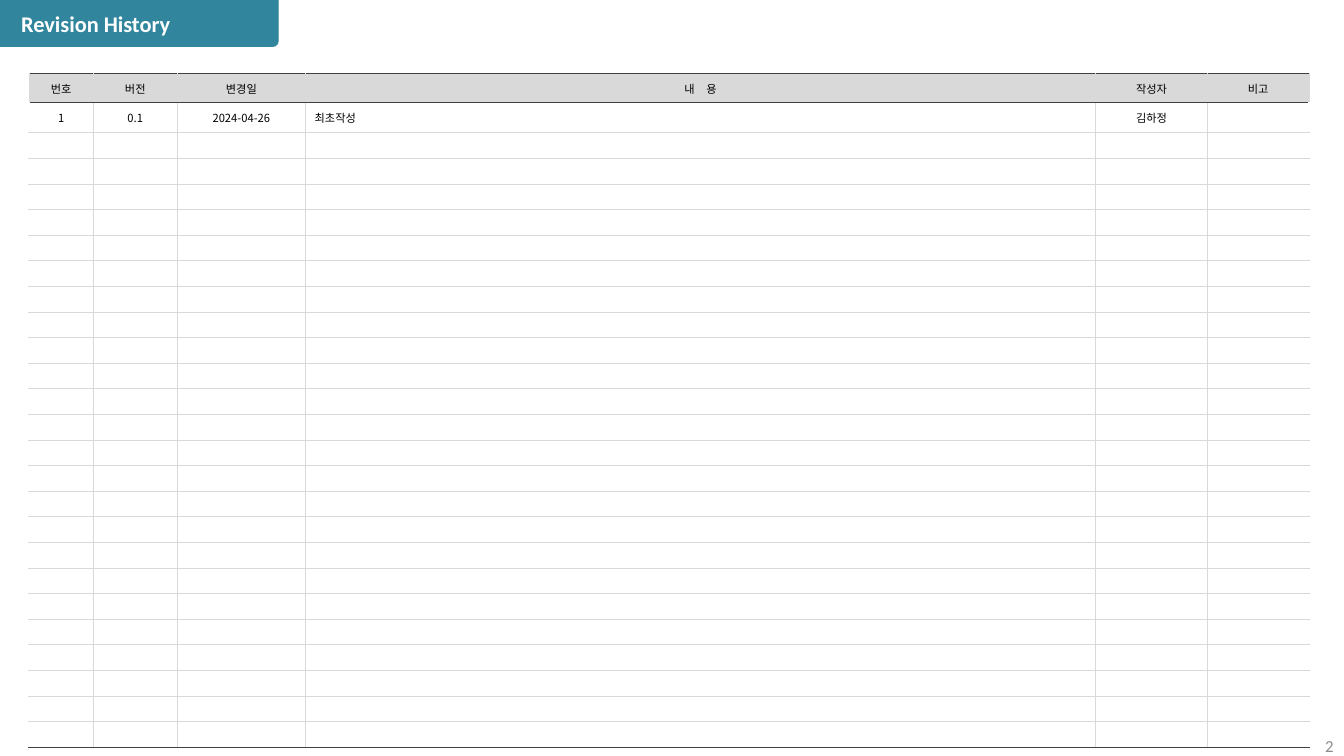
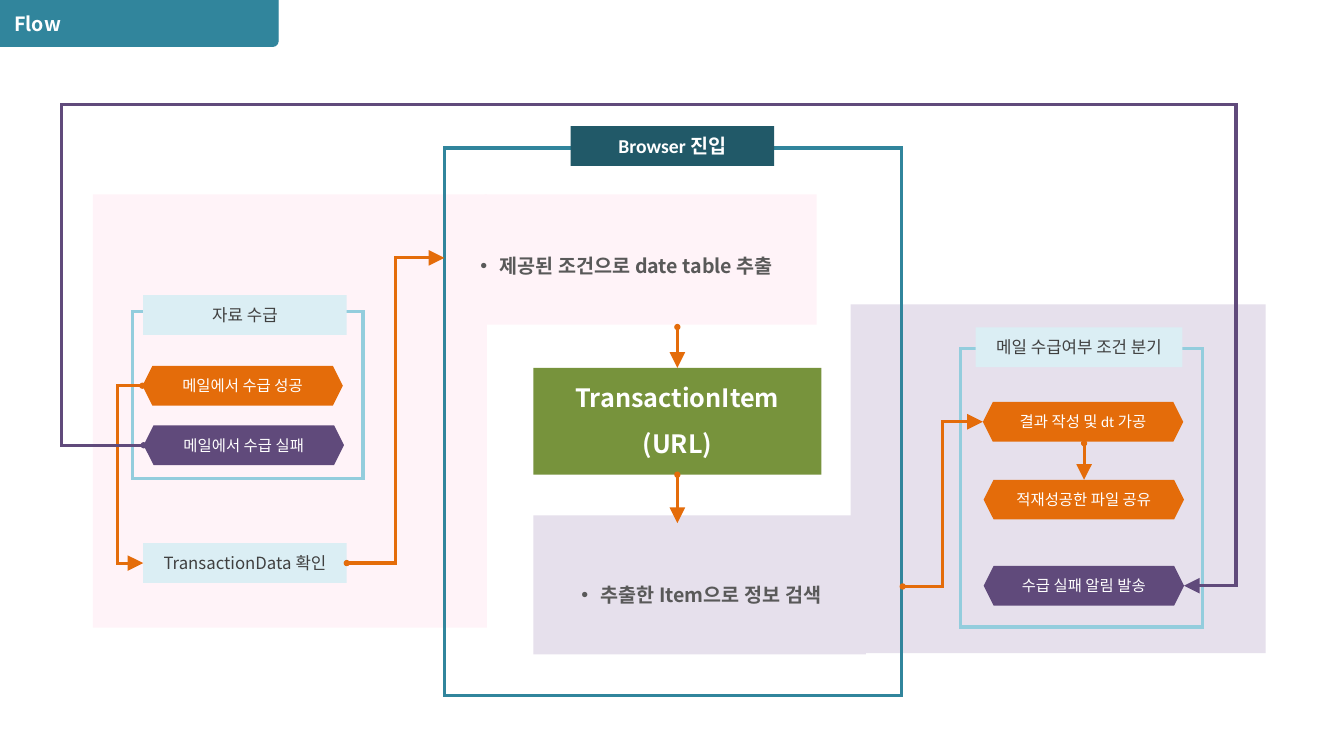
from lxml.etree import SubElement
from pptx import Presentation
from pptx.dml.color import RGBColor
from pptx.enum.shapes import MSO_CONNECTOR as Connector, MSO_SHAPE as Shape
from pptx.enum.text import MSO_ANCHOR as Anchor, MSO_AUTO_SIZE as AutoSize, PP_ALIGN as Align
from pptx.oxml.ns import qn
from pptx.util import Cm, Pt

# Colours
WHITE = RGBColor(0xFF, 0xFF, 0xFF)
BLACK = RGBColor(0x00, 0x00, 0x00)
DARK_GREY = RGBColor(0x40, 0x40, 0x40)
MID_GREY = RGBColor(0x59, 0x59, 0x59)
NUMBER_GREY = RGBColor(0x8C, 0x8C, 0x8C)
LIGHT_GREY = RGBColor(0xD9, 0xD9, 0xD9)
TEAL = RGBColor(0x31, 0x85, 0x9C)
DARK_TEAL = RGBColor(0x21, 0x59, 0x68)
SKY = RGBColor(0x93, 0xCD, 0xDD)
PALE_BLUE = RGBColor(0xDB, 0xEE, 0xF4)
PINK = RGBColor(0xFF, 0xF3, 0xF8)
LAVENDER = RGBColor(0xE6, 0xE0, 0xEC)
PURPLE = RGBColor(0x60, 0x4A, 0x7B)
ORANGE = RGBColor(0xE4, 0x6C, 0x0A)
GREEN = RGBColor(0x77, 0x93, 0x3C)

# Fonts
CALIBRI = "Calibri"
NOTO = "Noto Sans CJK KR"

# Revision table
COLUMN_WIDTHS = (1.62, 2.12, 3.23, 19.91, 2.82, 2.56)
HEADINGS = ("번호", "버전", "변경일", "내 용", "작성자", "비고")
FIRST_REVISION = ("1", "0.1", "2024-04-26", "최초작성", "김하정", "")
EMPTY_ROWS = 24
CONTENT_COLUMN = 3


# Text
def style_paragraph(paragraph, size, color, font=CALIBRI, bold=False,
                    align=Align.CENTER, spacing=None):
    paragraph.alignment = align
    if spacing:
        paragraph.line_spacing = spacing
    paragraph.font.size = Pt(size)
    paragraph.font.bold = bold
    paragraph.font.color.rgb = color
    paragraph.font.name = font
    defaults = paragraph._p.find(".//" + qn("a:defRPr"))
    SubElement(defaults, qn("a:ea"), typeface=NOTO)


def set_frame(frame, margins, anchor=Anchor.MIDDLE):
    frame.word_wrap = True
    frame.auto_size = AutoSize.NONE
    frame.vertical_anchor = anchor
    (frame.margin_left, frame.margin_top,
     frame.margin_right, frame.margin_bottom) = (Cm(margin) for margin in margins)


def write(shape, text, margins=(0.25, 0.13, 0.25, 0.13), anchor=Anchor.MIDDLE, **style):
    set_frame(shape.text_frame, margins, anchor)
    shape.text_frame.text = text
    for paragraph in shape.text_frame.paragraphs:
        style_paragraph(paragraph, **style)


def place(shape, left, top, width, height):
    shape.left, shape.top, shape.width, shape.height = map(Cm, (left, top, width, height))


def add_title(slide, text, box, **style):
    place(slide.shapes.title, *box)
    write(slide.shapes.title, text, margins=(0, 0, 0, 0), color=WHITE, bold=True,
          align=Align.LEFT, spacing=0.9, **style)


def fill_bullet(placeholder, text, box):
    place(placeholder, *box)
    write(placeholder, text, anchor=Anchor.TOP, size=14, color=MID_GREY,
          font=NOTO, bold=True, spacing=1.5)
    paragraph = placeholder.text_frame.paragraphs[0]
    paragraph.space_before = Pt(0)
    properties = paragraph._p.pPr
    properties.set("marL", str(Cm(0.48)))
    properties.set("indent", str(Cm(-0.48)))
    # Bring in front of the areas
    placeholder.element.getparent().append(placeholder.element)


# Shapes
def set_line(shape, color, width):
    """Give the shape a plain line with sharp corners and return its XML."""
    shape.line.color.rgb = color
    shape.line.width = Pt(width)
    line = shape.element.spPr.find(qn("a:ln"))
    SubElement(line, qn("a:miter"), lim="800000")
    return line


def add_box(slide, box, fill=None, line=None, line_width=2.25, kind=Shape.RECTANGLE):
    shape = slide.shapes.add_shape(kind, *map(Cm, box))
    shape.shadow.inherit = False
    if fill:
        shape.fill.solid()
        shape.fill.fore_color.rgb = fill
    else:
        shape.fill.background()
    if line:
        set_line(shape, line, line_width)
    else:
        shape.line.fill.background()
    return shape


def add_label(slide, text, left, top, width=5.13, fill=PALE_BLUE, size=12,
              color=DARK_GREY, **style):
    label = add_box(slide, (left, top, width, 1), fill)
    write(label, text, margins=(0.05,) * 4, size=size, color=color, **style)


def add_step(slide, text, left, top, fill):
    step = add_box(slide, (left, top, 5.05, 1), fill, kind=Shape.HEXAGON)
    write(step, text, size=11, color=WHITE)


# Connectors
def add_arrow(slide, start, end, color=ORANGE, bends=()):
    """Draw an arrow; bends lists the x, y, x... positions of its inner segments."""
    kind = Connector.ELBOW if bends else Connector.STRAIGHT
    arrow = slide.shapes.add_connector(kind, *map(Cm, start + end))
    line = set_line(arrow, color, 2.25)
    SubElement(line, qn("a:headEnd"), type="oval", w="sm", len="sm")
    SubElement(line, qn("a:tailEnd"), type="triangle", w="lg", len="lg")
    properties = arrow.element.spPr
    SubElement(properties, qn("a:effectLst"))
    if bends:
        geometry = properties.find(qn("a:prstGeom"))
        geometry.set("prst", f"bentConnector{len(bends) + 2}")
        guides = geometry.find(qn("a:avLst"))
        for index, position in enumerate(bends):
            axis = index % 2
            share = (position - start[axis]) / (end[axis] - start[axis])
            SubElement(guides, qn("a:gd"), name=f"adj{index + 1}",
                       fmla=f"val {round(share * 100000)}")
    return arrow


# Table
def set_borders(cell, borders):
    """Give borders as side: (colour, points), sides in the order L, R, T, B."""
    properties = cell._tc.get_or_add_tcPr()
    for index, (side, (color, width)) in enumerate(borders.items()):
        line = SubElement(properties, qn(f"a:ln{side}"), w=str(Pt(width)))
        SubElement(SubElement(line, qn("a:solidFill")), qn("a:srgbClr"), val=str(color))
        properties.insert(index, line)


def fill_cell(cell, text, row, column, last_row):
    header = row == 0
    cell.fill.solid()
    cell.fill.fore_color.rgb = LIGHT_GREY if header else WHITE
    cell.vertical_anchor = Anchor.MIDDLE
    cell.margin_left = cell.margin_right = Cm(0.23)
    cell.margin_top = cell.margin_bottom = Cm(0)
    cell.text = text
    paragraph = cell.text_frame.paragraphs[0]
    left_aligned = column == CONTENT_COLUMN and not header
    style_paragraph(paragraph, 8, BLACK, CALIBRI if header else NOTO,
                    align=Align.LEFT if left_aligned else Align.CENTER)
    if not text:
        SubElement(paragraph._p, qn("a:endParaRPr"), sz="800")

    thin, strong = (LIGHT_GREY, 0.25), (DARK_GREY, 1)
    borders = {}
    if header or column > 0:
        borders["L"] = thin
    if header or column < len(HEADINGS) - 1:
        borders["R"] = thin
    borders["T"] = strong if row <= 1 else thin
    borders["B"] = strong if header else (DARK_GREY, 0.25) if row == last_row else thin
    set_borders(cell, borders)


def add_revision_table(slide):
    rows = [HEADINGS, FIRST_REVISION] + [("",) * len(HEADINGS)] * EMPTY_ROWS
    heights = [Cm(0.74), Cm(0.75)] + [Cm(15.5) // EMPTY_ROWS] * EMPTY_ROWS
    table = slide.shapes.add_table(len(rows), len(HEADINGS), Cm(0.73), Cm(1.85),
                                   Cm(sum(COLUMN_WIDTHS)), sum(heights)).table
    table.first_row = table.horz_banding = False
    for column, width in zip(table.columns, COLUMN_WIDTHS):
        column.width = Cm(width)
    for row, (texts, height) in enumerate(zip(rows, heights)):
        table.rows[row].height = height
        for column, text in enumerate(texts):
            fill_cell(table.cell(row, column), text, row, column, len(rows) - 1)
    # Spread the two syllables of the content heading
    heading = table.cell(0, CONTENT_COLUMN).text_frame.paragraphs[0].runs[0]
    heading._r.get_or_add_rPr().set("spc", "330")


# Slides
def add_master_band(presentation, slide):
    band = add_box(slide, (0, 0, 7.01, 1.17), TEAL, TEAL, 0.75, Shape.ROUND_1_RECTANGLE)
    band.adjustments[0] = 0.109
    band.element.spPr.find(qn("a:xfrm")).set("flipV", "1")
    presentation.slide_master.element.cSld.spTree.append(band.element)


def build_revision_slide(slide):
    add_title(slide, "Revision History", (0.53, 0.32, 6.45, 0.61), size=16)
    add_revision_table(slide)
    number = slide.shapes.add_textbox(*map(Cm, (32.13, 18.54, 1.73, 0.51)))
    write(number, "2", margins=(0.25, 0, 0.25, 0), size=12, color=NUMBER_GREY,
          align=Align.RIGHT)


def build_flow_slide(slide):
    add_title(slide, "Flow", (0.36, 0.36, 6.45, 0.53), size=14, font=NOTO)

    # Background areas
    for box, color in (((2.34, 4.9, 9.93, 10.92), PINK),
                       ((12.22, 4.9, 8.36, 3.28), PINK),
                       ((21.44, 7.67, 10.46, 8.79), LAVENDER),
                       ((13.44, 12.99, 8.38, 3.5), LAVENDER)):
        add_box(slide, box, color)

    # Browser group
    add_box(slide, (11.2, 3.73, 11.53, 13.79), line=TEAL)
    add_label(slide, "Browser 진입", 14.38, 3.18, fill=DARK_TEAL, size=14,
              color=WHITE, bold=True)
    extract, search = list(slide.placeholders)[1:]
    fill_bullet(extract, "제공된 조건으로 date table 추출", (11.2, 5.97, 9.19, 1.04))
    fill_bullet(search, "추출한 Item으로 정보 검색", (12.62, 14.27, 10.11, 1.04))
    transaction = add_box(slide, (13.44, 9.27, 7.26, 2.69), GREEN)
    write(transaction, "TransactionItem\n(URL)", margins=(0.25, 0.13, 0.25, 0.41),
          anchor=Anchor.BOTTOM, size=18, color=WHITE, font=NOTO, bold=True, spacing=1.5)

    # Data supply group
    add_box(slide, (3.33, 7.85, 5.82, 4.22), line=SKY)
    add_label(slide, "자료 수급", 3.61, 7.44)
    add_step(slide, "메일에서 수급 성공", 3.59, 9.22, ORANGE)
    add_step(slide, "메일에서 수급 실패", 3.62, 10.72, PURPLE)
    add_label(slide, "TransactionData 확인", 3.61, 13.69, font=NOTO)

    # Mail branch group
    add_box(slide, (24.21, 8.79, 6.1, 7.01), line=SKY)
    add_label(slide, "메일 수급여부 조건 분기", 24.59, 8.25, width=5.21)
    add_step(slide, "결과 작성 및 dt 가공", 24.77, 10.13, ORANGE)
    add_step(slide, "적재성공한 파일 공유", 24.79, 12.09, ORANGE)
    add_step(slide, "수급 실패 알림 발송", 24.79, 14.26, PURPLE)

    # Arrows
    add_arrow(slide, (17.07, 8.24), (17.07, 9.27)).end_connect(transaction, 0)
    add_arrow(slide, (17.07, 11.96), (17.07, 13.18)).begin_connect(transaction, 2)
    add_arrow(slide, (27.32, 11.17), (27.32, 12.09))
    add_arrow(slide, (8.74, 14.19), (11.2, 6.5), bends=(9.97,))
    add_arrow(slide, (3.59, 9.72), (3.61, 14.19), bends=(2.96,))
    add_arrow(slide, (22.75, 14.78), (24.77, 10.63), bends=(23.76,))
    add_arrow(slide, (3.62, 11.22), (29.84, 14.76), PURPLE, bends=(1.55, 2.64, 31.16))


def main():
    presentation = Presentation()
    presentation.slide_width, presentation.slide_height = Cm(33.87), Cm(19.05)
    title_only, two_content = presentation.slide_layouts[5], presentation.slide_layouts[3]
    revision_slide = presentation.slides.add_slide(title_only)
    add_master_band(presentation, revision_slide)
    build_revision_slide(revision_slide)
    build_flow_slide(presentation.slides.add_slide(two_content))
    presentation.save("out.pptx")


if __name__ == "__main__":
    main()
